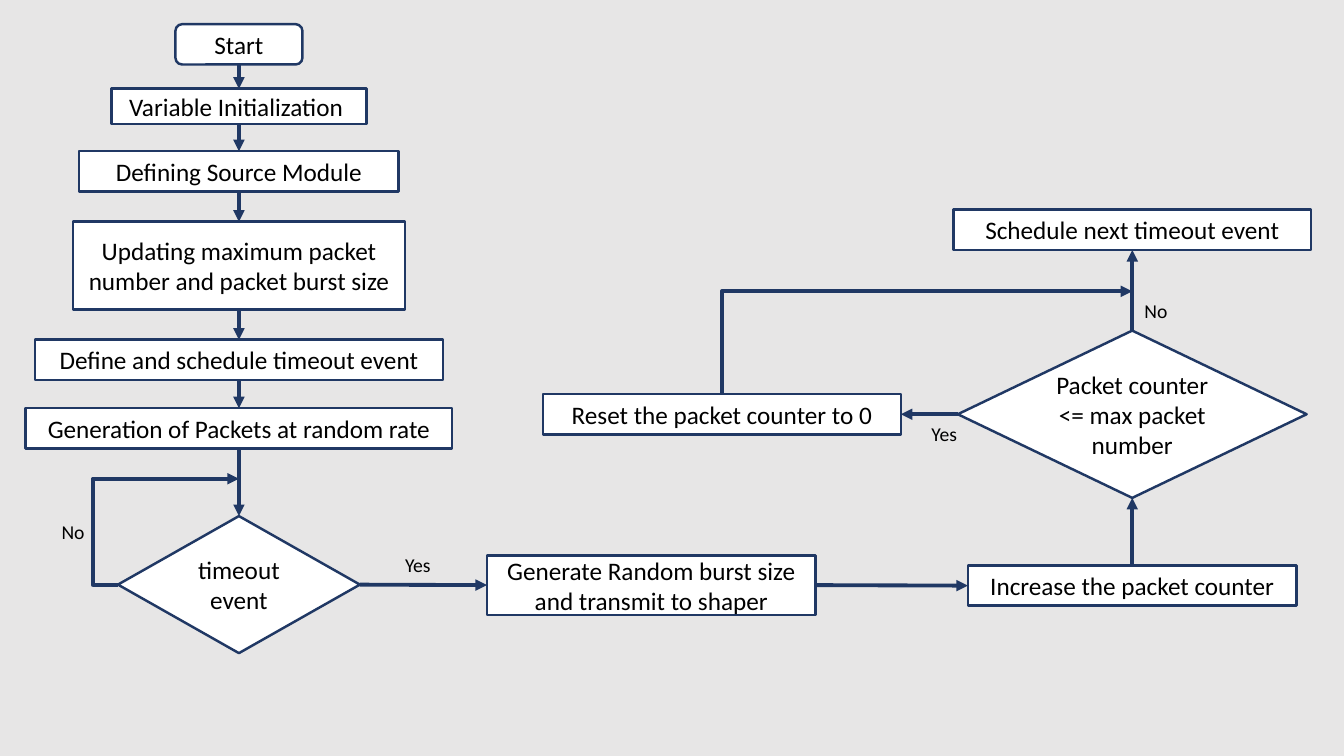
from dataclasses import dataclass

import pptx
import pptx.dml.color
import pptx.enum.shapes
import pptx.enum.text
import pptx.oxml
import pptx.oxml.ns
import pptx.util

Inches = pptx.util.Inches
Pt = pptx.util.Pt
SHAPE = pptx.enum.shapes.MSO_SHAPE
CONNECTOR = pptx.enum.shapes.MSO_CONNECTOR
qn = pptx.oxml.ns.qn
TOP, LEFT, BOTTOM, RIGHT = range(4)


@dataclass(frozen=True)
class Theme:
    background: str = "E7E6E6"
    fill: str = "FFFFFF"
    line: str = "203864"
    text: str = "000000"
    font: str = "Calibri"
    step_size: int = 18
    label_size: int = 14
    outline: float = 1.75
    arrow: float = 2.75


THEME = Theme()
SETUP_X, COUNTER_X = 2.37, 11.23

STEPS = {
    "start": ("Start", SHAPE.FLOWCHART_ALTERNATE_PROCESS, SETUP_X, 0.24, 1.26, 0.4),
    "variables": ("Variable Initialization ", SHAPE.RECTANGLE, SETUP_X, 0.88, 2.53, 0.35),
    "source": ("Defining Source Module", SHAPE.RECTANGLE, SETUP_X, 1.5, 3.17, 0.4),
    "maximum": ("Updating maximum packet number and packet burst size",
                SHAPE.RECTANGLE, SETUP_X, 2.2, 3.29, 0.87),
    "define": ("Define and schedule timeout event", SHAPE.RECTANGLE, SETUP_X, 3.37, 4.05, 0.4),
    "generation": ("Generation of Packets at random rate",
                   SHAPE.RECTANGLE, SETUP_X, 4.05, 4.23, 0.4),
    "timeout": ("timeout event", SHAPE.FLOWCHART_DECISION, SETUP_X, 5.12, 2.4, 1.36),
    "burst": ("Generate Random burst size and transmit to shaper",
              SHAPE.RECTANGLE, 6.46, 5.51, 3.26, 0.59),
    "increase": ("Increase the packet counter", SHAPE.RECTANGLE, COUNTER_X, 5.61, 3.26, 0.4),
    "limit": ("Packet counter <= max packet number",
              SHAPE.FLOWCHART_DECISION, COUNTER_X, 3.28, 3.46, 1.66),
    "reset": ("Reset the packet counter to 0", SHAPE.RECTANGLE, 7.16, 3.91, 3.55, 0.4),
    "next": ("Schedule next timeout event", SHAPE.RECTANGLE, COUNTER_X, 2.08, 3.55, 0.4),
}

SETUP_ORDER = ["start", "variables", "source", "maximum", "define", "generation", "timeout"]
BRANCHES = [
    ("timeout", RIGHT, "burst", LEFT),
    ("burst", RIGHT, "increase", LEFT),
    ("increase", TOP, "limit", BOTTOM),
    ("limit", LEFT, "reset", RIGHT),
    ("limit", TOP, "next", BOTTOM),
]
ANSWERS = [("Yes", 3.91, 5.51), ("No", 0.49, 5.18), ("Yes", 9.13, 4.21), ("No", 11.23, 2.99)]


def color(value):
    return pptx.dml.color.RGBColor.from_string(value)


def write(frame, text, *, size, margin=None):
    frame.word_wrap = True
    frame.vertical_anchor = pptx.enum.text.MSO_ANCHOR.MIDDLE
    if margin is not None:
        frame.margin_left = frame.margin_right = Inches(margin)
        frame.margin_top = frame.margin_bottom = Inches(margin)
    paragraph = frame.paragraphs[0]
    paragraph.alignment = pptx.enum.text.PP_ALIGN.CENTER
    run = paragraph.add_run()
    run.text = text
    run.font.name = THEME.font
    run.font.size = Pt(size)
    run.font.color.rgb = color(THEME.text)


def add_step(slide, text, outline, center, top, width, height):
    step = slide.shapes.add_shape(
        outline, Inches(center - width / 2), Inches(top), Inches(width), Inches(height))
    step.shadow.inherit = False
    step.fill.solid()
    step.fill.fore_color.rgb = color(THEME.fill)
    step.line.color.rgb = color(THEME.line)
    step.line.width = Pt(THEME.outline)
    write(step.text_frame, text, size=THEME.step_size)
    return step


def add_answer(slide, text, left, top):
    answer = slide.shapes.add_textbox(Inches(left), Inches(top), Inches(0.47), Inches(0.19))
    write(answer.text_frame, text, size=THEME.label_size, margin=0)


def add_arrow(slide, kind, start=(0, 0), end=(0, 0)):
    arrow = slide.shapes.add_connector(kind, *(Inches(value) for value in (*start, *end)))
    arrow.line.color.rgb = color(THEME.line)
    arrow.line.width = Pt(THEME.arrow)
    head = pptx.oxml.parse_xml(
        f'<a:tailEnd {pptx.oxml.ns.nsdecls("a")} type="triangle"/>')
    arrow.line._get_or_add_ln().append(head)
    properties = arrow._element.spPr
    properties.append(properties.makeelement(qn("a:effectLst"), {}))
    return arrow


def link(slide, origin, origin_side, target, target_side):
    arrow = add_arrow(slide, CONNECTOR.STRAIGHT)
    arrow.begin_connect(origin, origin_side)
    arrow.end_connect(target, target_side)


def add_retry_loop(slide):
    loop = add_arrow(slide, CONNECTOR.ELBOW, (1.17, 5.8), (SETUP_X, 4.75))
    adjustments = loop._element.spPr.find(qn("a:prstGeom")).get_or_add_avLst()
    guide = adjustments.makeelement(qn("a:gd"), {"name": "adj1", "fmla": "val -20900"})
    adjustments.append(guide)


def add_reset_return(slide):
    start_x, start_y, end_x, end_y = 7.16, 3.91, COUNTER_X, 2.89
    middle_x, middle_y = (start_x + end_x) / 2, (start_y + end_y) / 2
    half_run, half_rise = (end_x - start_x) / 2, (start_y - end_y) / 2
    turn = add_arrow(slide, CONNECTOR.ELBOW,
                     (middle_x + half_rise, middle_y + half_run),
                     (middle_x - half_rise, middle_y - half_run))
    properties = turn._element.spPr
    properties.find(qn("a:xfrm")).set("rot", str(90 * 60000))
    properties.find(qn("a:prstGeom")).set("prst", "bentConnector2")


def main():
    deck = pptx.Presentation()
    deck.slide_width, deck.slide_height = Inches(13.33), Inches(7.5)
    slide = deck.slides.add_slide(deck.slide_layouts[6])
    slide.background.fill.solid()
    slide.background.fill.fore_color.rgb = color(THEME.background)

    steps = {key: add_step(slide, *details) for key, details in STEPS.items()}
    for origin, target in zip(SETUP_ORDER, SETUP_ORDER[1:]):
        link(slide, steps[origin], BOTTOM, steps[target], TOP)
    for origin, origin_side, target, target_side in BRANCHES:
        link(slide, steps[origin], origin_side, steps[target], target_side)
    add_retry_loop(slide)
    add_reset_return(slide)
    for answer in ANSWERS:
        add_answer(slide, *answer)

    deck.save("out.pptx")


if __name__ == "__main__":
    main()
